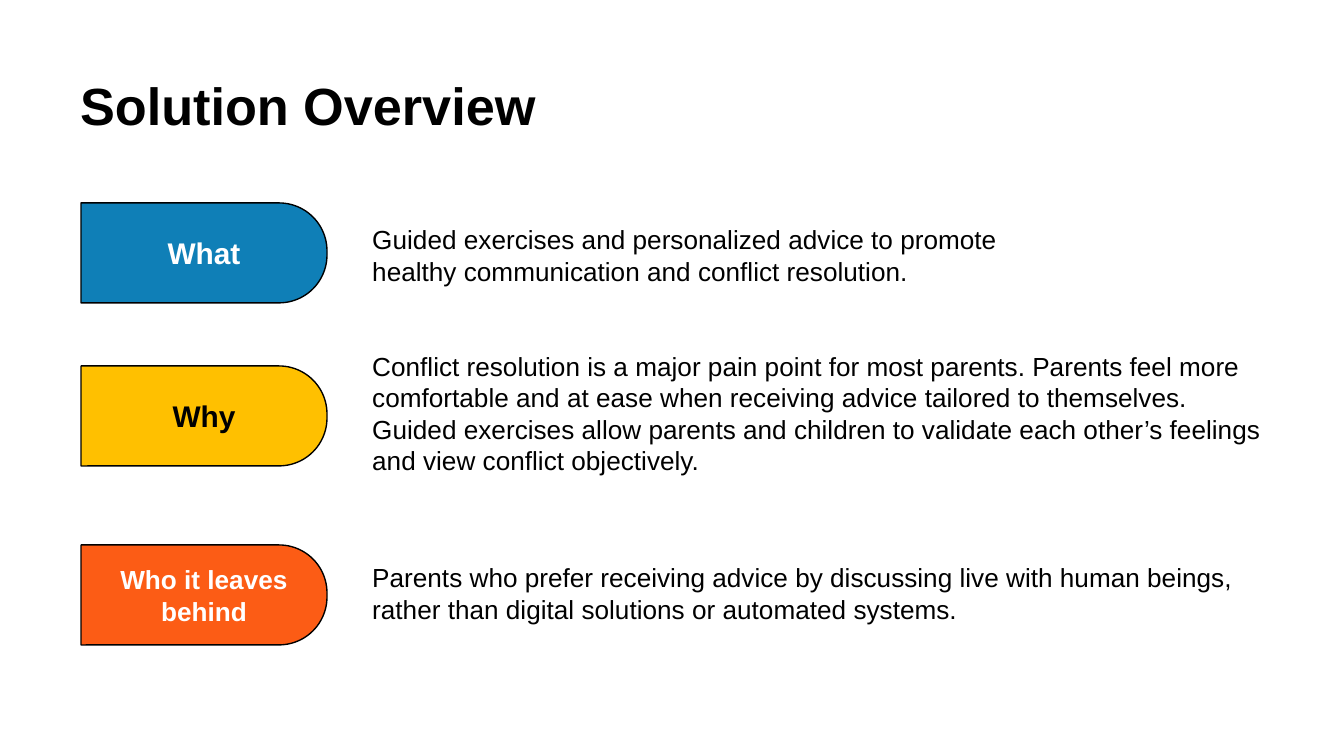
from pptx import Presentation
from pptx.dml.color import RGBColor
from pptx.enum.shapes import MSO_SHAPE
from pptx.enum.text import MSO_ANCHOR, PP_ALIGN
from pptx.util import Emu, Inches, Pt

PX_PER_INCH = 134.4
BLACK = RGBColor(0x00, 0x00, 0x00)
WHITE = RGBColor(0xFF, 0xFF, 0xFF)
BLUE = RGBColor(0x0F, 0x7F, 0xB7)
YELLOW = RGBColor(0xFF, 0xC0, 0x00)
ORANGE = RGBColor(0xFC, 0x5C, 0x15)
TAB_SHAPE = MSO_SHAPE.ROUND_2_SAME_RECTANGLE
TOP, MIDDLE = MSO_ANCHOR.TOP, MSO_ANCHOR.MIDDLE
LEFT, CENTER = PP_ALIGN.LEFT, PP_ALIGN.CENTER

TAB_LEFT, TAB_WIDTH, TAB_HEIGHT = 81, 246, 100
LABEL_WIDTH, LABEL_HEIGHT = 206, 50
BODY_LEFT, BODY_HEIGHT = 359, 100


def px(length):
    return Emu(round(length * Inches(1) / PX_PER_INCH))


class SlideBuilder:
    font = "Arial"
    inset = Inches(0.1)

    def __init__(self, slide):
        self.slide = slide

    def text(self, left, top, width, height, lines, size,
             color=BLACK, bold=False, align=LEFT, anchor=MIDDLE):
        box = self.slide.shapes.add_textbox(px(left), px(top), px(width), px(height))
        frame = box.text_frame
        frame.word_wrap = True
        frame.vertical_anchor = anchor
        frame.margin_left = frame.margin_right = self.inset
        frame.margin_top = frame.margin_bottom = self.inset
        for index, line in enumerate(lines):
            para = frame.add_paragraph() if index else frame.paragraphs[0]
            para.alignment = align
            span = para.add_run()
            span.text = line
            span.font.name = self.font
            span.font.size = Pt(size)
            span.font.bold = bold
            span.font.color.rgb = color

    def tab(self, center_y, fill):
        # Turned a quarter, so its width and height trade places
        center_x = TAB_LEFT + TAB_WIDTH / 2
        shape = self.slide.shapes.add_shape(
            TAB_SHAPE, px(center_x - TAB_HEIGHT / 2), px(center_y - TAB_WIDTH / 2),
            px(TAB_HEIGHT), px(TAB_WIDTH))
        shape.rotation = 90
        shape.adjustments[0] = 0.48
        shape.adjustments[1] = 0
        shape.shadow.inherit = False
        shape.fill.solid()
        shape.fill.fore_color.rgb = fill
        shape.line.color.rgb = BLACK
        shape.line.width = Pt(0.75)

    def label(self, center_y, words, size, color):
        left = TAB_LEFT + (TAB_WIDTH - LABEL_WIDTH) / 2
        self.text(left, center_y - LABEL_HEIGHT / 2, LABEL_WIDTH, LABEL_HEIGHT,
                  [words], size, color, bold=True, align=CENTER)

    def body(self, center_y, width, lines):
        self.text(BODY_LEFT, center_y - BODY_HEIGHT / 2, width, BODY_HEIGHT, lines, 14)


# Tab centre, fill, label, label size, label colour, body centre, body width, body lines
ROWS = [
    (253, BLUE, "What", 16, WHITE, 255, 942,
     ["Guided exercises and personalized advice to promote",
      "healthy communication and conflict resolution."]),
    (416, YELLOW, "Why", 16, BLACK, 413, 930,
     ["Conflict resolution is a major pain point for most parents. Parents feel more "
      "comfortable and at ease when receiving advice tailored to themselves. Guided "
      "exercises allow parents and children to validate each other’s feelings and view "
      "conflict objectively."]),
    (595, ORANGE, "Who it leaves behind", 14, WHITE, 593, 910,
     ["Parents who prefer receiving advice by discussing live with human beings, "
      "rather than digital solutions or automated systems."]),
]


def main():
    deck = Presentation()
    deck.slide_width, deck.slide_height = px(1344), px(756)
    page = SlideBuilder(deck.slides.add_slide(deck.slide_layouts[6]))

    # Title
    page.text(67, 60, 1210, 85, ["Solution Overview"], 28, bold=True, anchor=TOP)

    # One coloured tab, label and explanation per row
    for tab_y, fill, label, size, color, body_y, body_width, lines in ROWS:
        page.tab(tab_y, fill)
        page.label(tab_y, label, size, color)
        page.body(body_y, body_width, lines)

    deck.save("out.pptx")


if __name__ == "__main__":
    main()
